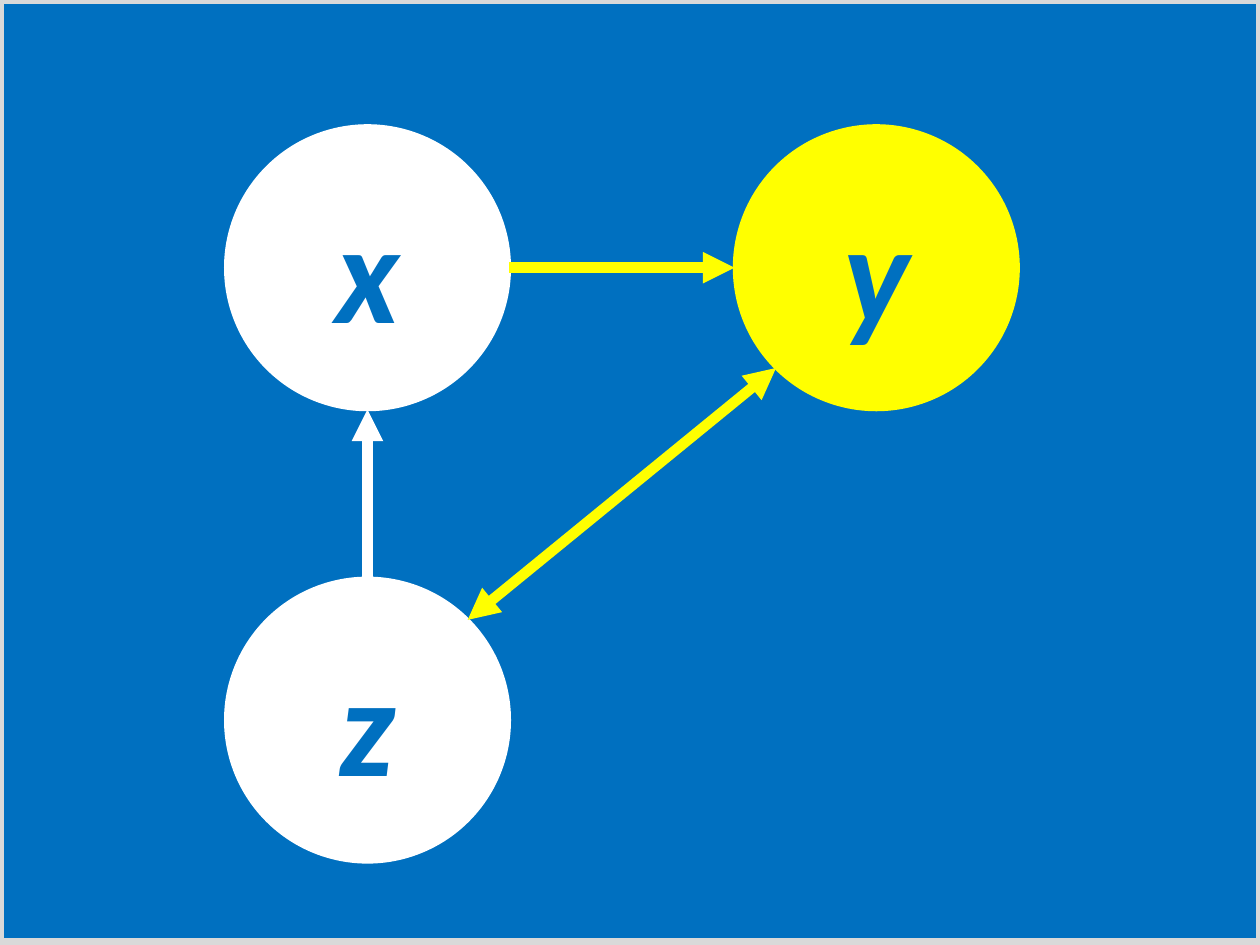
from math import sqrt

from pptx import Presentation
from pptx.dml.color import RGBColor
from pptx.enum.shapes import MSO_CONNECTOR as Conn, MSO_SHAPE as Shape
from pptx.enum.text import MSO_ANCHOR as Anchor, PP_ALIGN as Align
from pptx.oxml.ns import qn
from pptx.util import Pt
from lxml.etree import SubElement

BLUE = RGBColor(0x00, 0x70, 0xC0)
WHITE = RGBColor(0xFF, 0xFF, 0xFF)
YELLOW = RGBColor(0xFF, 0xFF, 0x00)
GRAY = RGBColor(0xD9, 0xD9, 0xD9)

DIAMETER = 162
RADIUS = DIAMETER / 2
DIAGONAL = RADIUS / sqrt(2)
LEFT_X, RIGHT_X = 210, 500.75
TOP_Y, BOTTOM_Y = 153, 411.5


def write(tf, text, font="Calibri", size=80, color=BLUE, bold=True, italic=True):
    tf.word_wrap = True
    tf.vertical_anchor = Anchor.MIDDLE
    p = tf.paragraphs[0]
    p.alignment = Align.CENTER
    r = p.add_run()
    r.text = text
    r.font.name = font
    r.font.size = Pt(size)
    r.font.bold = bold
    r.font.italic = italic
    r.font.color.rgb = color


class Diagram:
    """Draws circles and arrows on one slide in a shared style."""

    def __init__(self, s, outline=2, arrow_width=6):
        self.s = s
        self.outline = outline
        self.arrow_width = arrow_width

    def background(self, color):
        fill = self.s.background.fill
        fill.solid()
        fill.fore_color.rgb = color

    def frame(self, width, height, color, weight):
        sp = self.s.shapes.add_shape(Shape.RECTANGLE, 0, 0, Pt(width), Pt(height))
        sp.shadow.inherit = False
        sp.fill.background()
        sp.line.color.rgb = color
        sp.line.width = Pt(weight)

    def node(self, text, x, y, color):
        sp = self.s.shapes.add_shape(
            Shape.FLOWCHART_CONNECTOR, Pt(x - RADIUS), Pt(y - RADIUS), Pt(DIAMETER), Pt(DIAMETER)
        )
        sp.shadow.inherit = False
        sp.fill.solid()
        sp.fill.fore_color.rgb = color
        sp.line.color.rgb = color
        sp.line.width = Pt(self.outline)
        write(sp.text_frame, text)

    def arrow(self, x1, y1, x2, y2, color, ends=("tailEnd",)):
        cxn = self.s.shapes.add_connector(Conn.STRAIGHT, Pt(x1), Pt(y1), Pt(x2), Pt(y2))
        cxn.line.color.rgb = color
        cxn.line.width = Pt(self.arrow_width)
        ln = cxn.line._get_or_add_ln()
        for end in ends:
            SubElement(ln, qn(f"a:{end}"), type="triangle")
        SubElement(cxn._element.spPr, qn("a:effectLst"))


def main():
    prs = Presentation()
    prs.slide_width, prs.slide_height = Pt(720), Pt(540)
    d = Diagram(prs.slides.add_slide(prs.slide_layouts[6]))
    d.background(BLUE)
    d.frame(720, 538.5, GRAY, 4.5)
    d.node("x", LEFT_X, TOP_Y, WHITE)
    d.node("y", RIGHT_X, TOP_Y, YELLOW)
    d.node("z", LEFT_X, BOTTOM_Y, WHITE)
    d.arrow(LEFT_X + RADIUS, TOP_Y, RIGHT_X - RADIUS, TOP_Y, YELLOW)
    d.arrow(LEFT_X, TOP_Y + RADIUS, LEFT_X, BOTTOM_Y - RADIUS, WHITE, ends=("headEnd",))
    d.arrow(
        RIGHT_X - DIAGONAL, TOP_Y + DIAGONAL, LEFT_X + DIAGONAL, BOTTOM_Y - DIAGONAL,
        YELLOW, ends=("headEnd", "tailEnd"),
    )
    prs.save("out.pptx")


if __name__ == "__main__":
    main()
